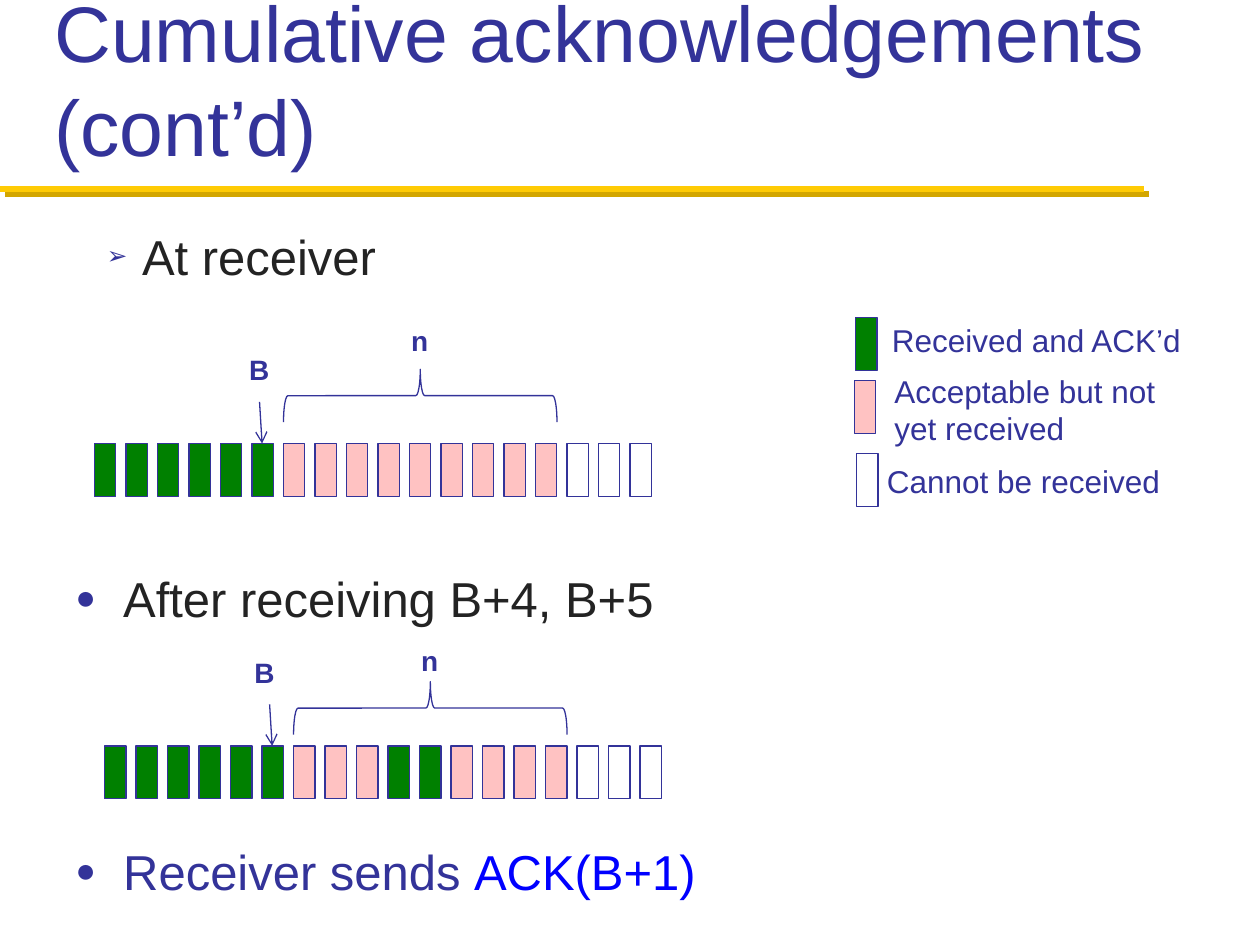
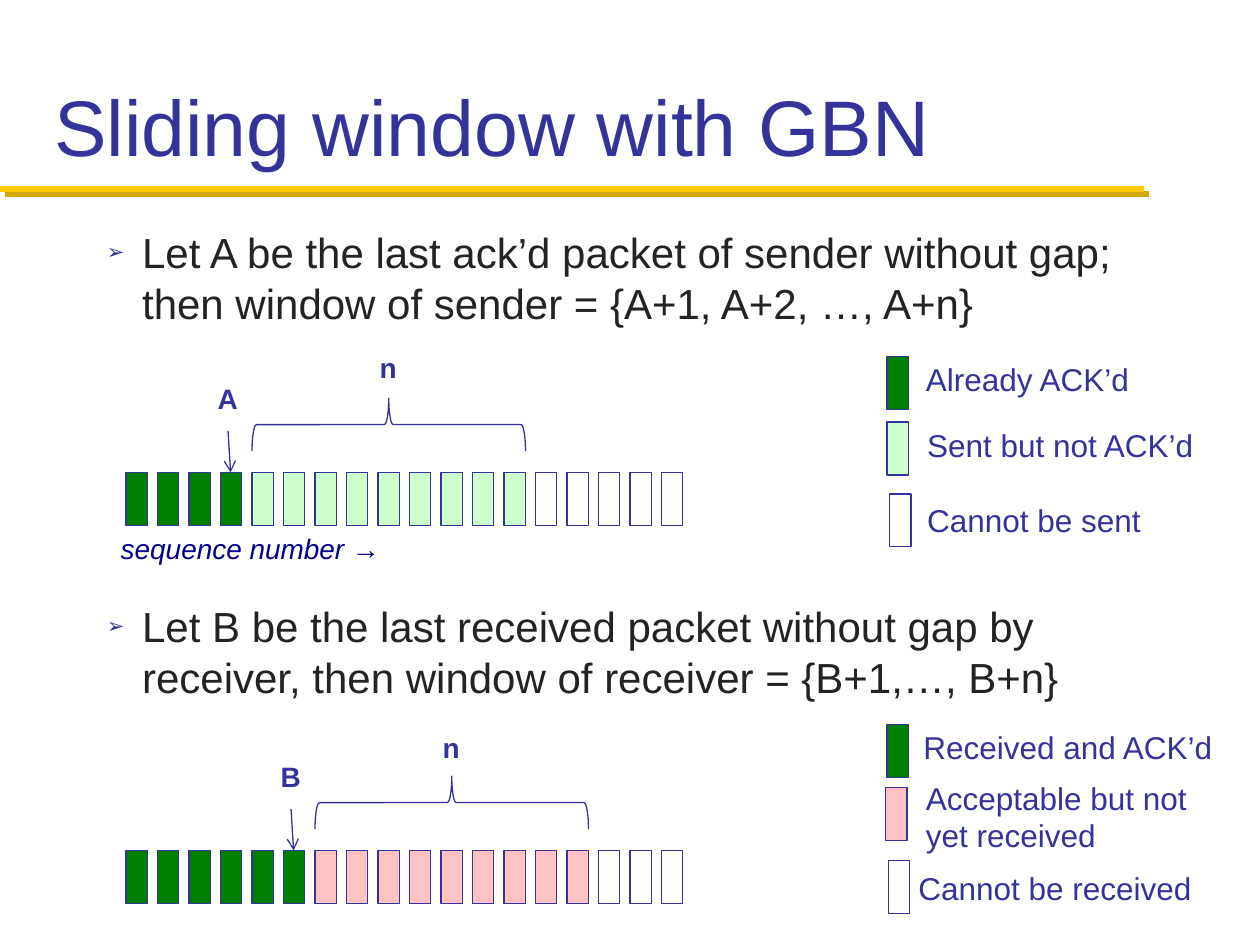
from lxml import etree
from pptx import Presentation
from pptx import util as u
from pptx.dml import color
from pptx.enum import shapes, text
from pptx.oxml import ns

INK, BODY, BLUE, NAVY = "333399", "232323", "0000FF", "000090"
GOLD, DARK_GOLD = "FFCB05", "D3A600"
FILLS = {"G": "008000", "P": "FFC2C2", "S": "CCFFCC", "W": "FFFFFF"}
PITCH, CELL_WIDTH, CELL_HEIGHT, WINDOW = 0.25, 0.17, 0.42, 9
ARROW_BULLET = {"bullet": "➢", "bullet_size": 50, "indent": 0.28}
DOT_BULLET = {"bullet": "●", "bullet_size": 70, "indent": 0.38}

RECEIVER_KEY = [
    ("G", (0.01, 0.02), "Received and ACK’d", (0.2, 0, 2.52, 0.4)),
    ("P", (0, 0.52), "Acceptable but not\nyet received", (0.22, 0.4, 2.31, 0.71)),
    ("W", (0.02, 1.1), "Cannot be received", (0.16, 1.12, 2.39, 0.4)),
]
SENDER_KEY = [
    ("G", (0, 0.02), "Already ACK’d", (0.21, 0, 1.84, 0.4)),
    ("S", (0, 0.54), "Sent but not ACK’d", (0.22, 0.52, 2.34, 0.4)),
    ("W", (0.02, 1.11), "Cannot be sent", (0.22, 1.12, 1.91, 0.4)),
]

SLIDES = [
    {
        "title": "Cumulative acknowledgements (cont’d)",
        "texts": [
            ((0.75, 1.75, 8.67, 0.62), "At receiver",
             dict(size=28, hue=BODY, **ARROW_BULLET)),
            ((0.5, 4.46, 9, 0.62), "After receiving B+4, B+5",
             dict(size=28, hue=BODY, **DOT_BULLET)),
            ((0.5, 6.63, 9, 0.62), [("Receiver sends ", INK), ("ACK(B+1)", BLUE)],
             dict(size=28, **DOT_BULLET)),
        ],
        "windows": [
            dict(left=0.75, top=3.52, cells="GGGGGGPPPPPPPPPWWW", last=6, marker="B"),
            dict(left=0.83, top=5.92, cells="GGGGGGPPPGGPPPPWWW", last=6, marker="B",
                 brace_rise=0.3, n_rise=0.86, marker_shift=0.41),
        ],
        "keys": [((6.78, 2.5), RECEIVER_KEY)],
    },
    {
        "title": "Sliding window with GBN",
        "texts": [
            ((0.75, 1.75, 8.67, 0.95),
             "Let A be the last ack’d packet of sender without gap; "
             "then window of sender = {A+1, A+2, …, A+n}",
             dict(size=24, hue=BODY, **ARROW_BULLET)),
            ((0.75, 4.72, 8.67, 0.95),
             "Let B be the last received packet without gap by receiver, "
             "then window of receiver = {B+1,…, B+n}",
             dict(size=24, hue=BODY, **ARROW_BULLET)),
            ((0.86, 4.17, 2.89, 0.37), "sequence number →",
             dict(size=16, hue=NAVY, italic=True)),
        ],
        "windows": [
            dict(left=1, top=3.75, cells="GGGGSSSSSSSSSWWWWW", last=4, marker="A",
                 n_rise=1.02),
            dict(left=1, top=6.75, cells="GGGGGGPPPPPPPPPWWW", last=6, marker="B"),
        ],
        "keys": [((7.04, 2.81), SENDER_KEY), ((7.03, 5.73), RECEIVER_KEY)],
    },
]


def rgb(value):
    return color.RGBColor.from_string(value)


def inches(*lengths):
    return [u.Inches(length) for length in lengths]


def sub(parent, tag, **attributes):
    return etree.SubElement(parent, ns.qn(tag), attributes)


def write(frame, content, size=18, hue=INK, bold=False, italic=False, wrap=True,
          bullet=None, bullet_size=100, indent=0):
    frame.word_wrap = wrap
    frame.auto_size = text.MSO_AUTO_SIZE.NONE
    lines = [[(line, hue)] for line in content.split("\n")] if isinstance(content, str) else [content]
    for index, line in enumerate(lines):
        paragraph = frame.add_paragraph() if index else frame.paragraphs[0]
        paragraph.alignment = text.PP_ALIGN.LEFT
        if bullet:
            paragraph.space_before = u.Pt(size * 0.2)
            settings = paragraph._p.get_or_add_pPr()
            settings.set("marL", str(u.Inches(indent)))
            settings.set("indent", str(-u.Inches(indent)))
            sub(sub(settings, "a:buClr"), "a:srgbClr", val=INK)
            sub(settings, "a:buSzPct", val=str(bullet_size * 1000))
            sub(settings, "a:buFont", typeface="Arial")
            sub(settings, "a:buChar", char=bullet)
        for words, run_hue in line:
            run = paragraph.add_run()
            run.text = words
            run.font.name, run.font.size = "Arial", u.Pt(size)
            run.font.bold, run.font.italic = bold, italic
            run.font.color.rgb = rgb(run_hue)


def put_text(slide, at, content, **style):
    write(slide.shapes.add_textbox(*inches(*at)).text_frame, content, **style)


def put_shape(slide, kind, at, fill=None):
    shape = slide.shapes.add_shape(kind, *inches(*at))
    shape.shadow.inherit = False
    if fill:
        shape.fill.solid()
        shape.fill.fore_color.rgb = rgb(fill)
    else:
        shape.fill.background()
    shape.line.color.rgb = rgb(INK)
    shape.line.width = u.Pt(0.75)
    return shape


def put_cell(slide, left, top, code):
    put_shape(slide, shapes.MSO_SHAPE.RECTANGLE,
              (left, top, CELL_WIDTH, CELL_HEIGHT), FILLS[code])


def put_line(slide, start, end, hue, width):
    line = slide.shapes.add_connector(shapes.MSO_CONNECTOR.STRAIGHT, *inches(*start, *end))
    line.line.color.rgb = rgb(hue)
    line.line.width = u.Pt(width)
    return line, sub(line._element.spPr, "a:effectLst")


def put_heading(slide, title):
    rule, effects = put_line(slide, (0, 1.5), (9.08, 1.5), GOLD, 3.5)
    shadow = sub(effects, "a:outerShdw", dist=str(u.Pt(4.2)), dir="2700000", algn="ctr",
                 rotWithShape="0")
    sub(shadow, "a:srgbClr", val=DARK_GOLD)
    heading = slide.shapes.title
    heading.left, heading.top, heading.width, heading.height = inches(0.33, 0.17, 9.33, 1.25)
    heading.text_frame.vertical_anchor = text.MSO_ANCHOR.BOTTOM
    write(heading.text_frame, title, size=45)


def put_window(slide, left, top, cells, last, marker,
               brace_rise=0.38, n_rise=1.0, marker_shift=0.37):
    for index, code in enumerate(cells):
        put_cell(slide, left + index * PITCH, top, code)
    start = left + last * PITCH
    span = (WINDOW - 1) * PITCH + CELL_WIDTH
    middle = start + span / 2
    brace = put_shape(slide, shapes.MSO_SHAPE.LEFT_BRACE,
                      (middle - CELL_HEIGHT / 2, top - brace_rise - span / 2, CELL_HEIGHT, span))
    brace.rotation = 90
    label = dict(size=16, bold=True, wrap=False)
    put_text(slide, (middle - 0.17, top - n_rise, 0.37, 0.44), "n", **label)
    put_text(slide, (start - marker_shift, top - 0.77, 0.37, 0.44), marker, **label)
    pointer, _ = put_line(slide, (start - 0.19, top - 0.33), (start - 0.17, top), INK, 0.75)
    sub(pointer.line._get_or_add_ln(), "a:tailEnd", type="arrow")


def put_key(slide, origin, entries):
    x, y = origin
    for code, (dx, dy), label, (label_dx, label_dy, width, height) in entries:
        put_cell(slide, x + dx, y + dy, code)
        put_text(slide, (x + label_dx, y + label_dy, width, height), label, wrap=False)


deck = Presentation()
deck.slide_width, deck.slide_height = inches(10, 7.5)
for page in SLIDES:
    slide = deck.slides.add_slide(deck.slide_layouts[5])
    put_heading(slide, page["title"])
    for at, content, style in page["texts"]:
        put_text(slide, at, content, **style)
    for window in page["windows"]:
        put_window(slide, **window)
    for origin, entries in page["keys"]:
        put_key(slide, origin, entries)
deck.save("out.pptx")
